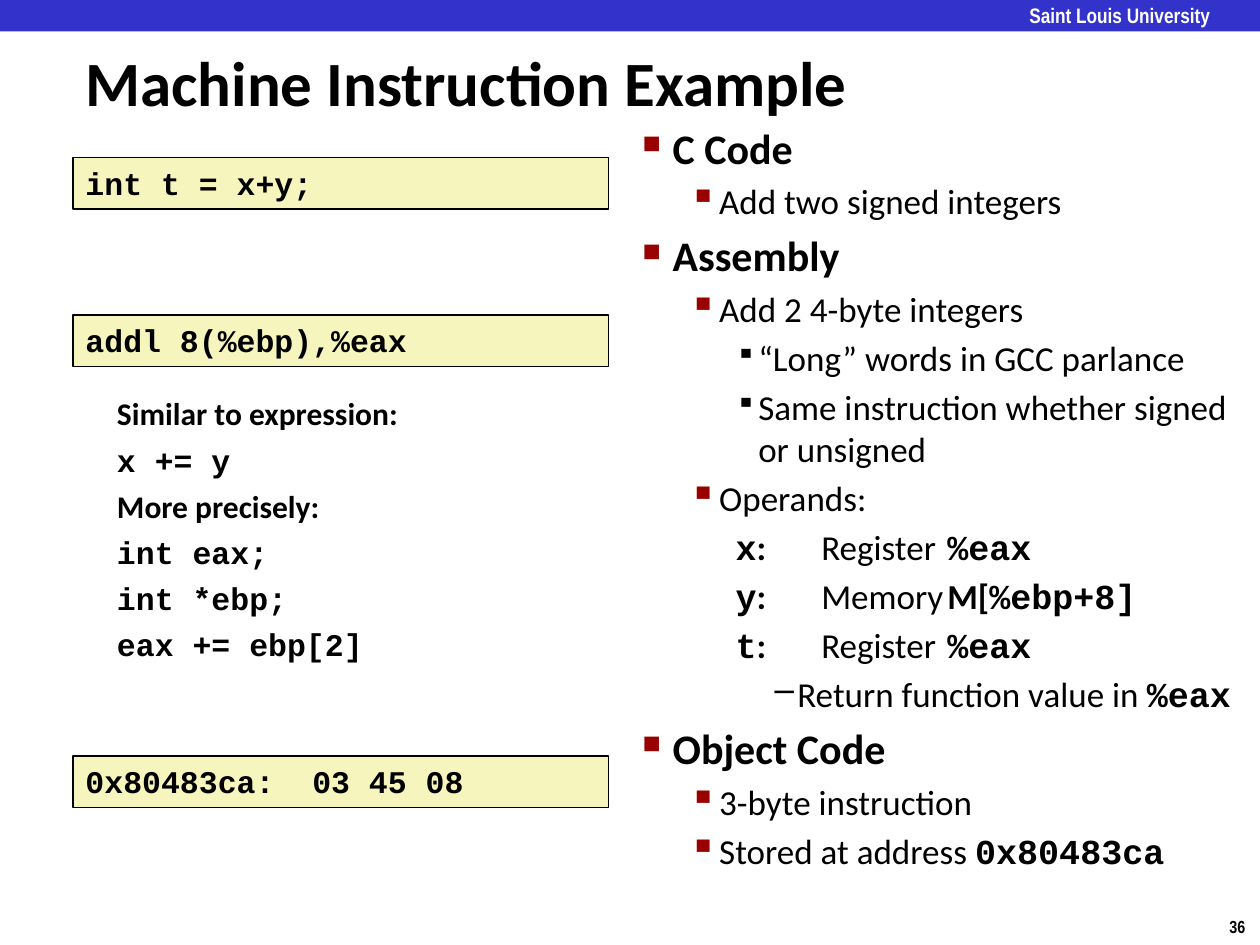
"""Build the Machine Instruction Example slide."""
from lxml import etree
from pptx import Presentation
from pptx.dml.color import RGBColor
from pptx.enum.shapes import MSO_SHAPE
from pptx.enum.text import MSO_ANCHOR
from pptx.oxml.ns import qn
from pptx.util import Inches, Pt

RECT = MSO_SHAPE.RECTANGLE
TOP, MIDDLE = MSO_ANCHOR.TOP, MSO_ANCHOR.MIDDLE
BLACK = RGBColor(0x00, 0x00, 0x00)
WHITE = RGBColor(0xFF, 0xFF, 0xFF)
BLUE = RGBColor(0x33, 0x33, 0xCC)
CREAM = RGBColor(0xF6, 0xF5, 0xBD)
RED = RGBColor(0x99, 0x00, 0x00)
SANS, MONO, NARROW = "Calibri", "Courier New", "Arial Narrow"

PLAIN, BOLD, CODE = (SANS, False), (SANS, True), (MONO, True)
LEVELS = [
    {"size": 24, "left": 0.24, "hang": 0.24, "bullet": ("■", 60, RED)},
    {"size": 20, "left": 0.61, "hang": 0.24, "bullet": ("▪", 110, RED)},
    {"size": 20, "left": 0.92, "hang": 0.18, "bullet": ("▪", 80, BLACK)},
    {"size": 20, "left": 1.23, "hang": 0.18, "bullet": ("–", 100, BLACK)},
]
OPERAND = {**LEVELS[2], "bullet": None}
TABS = [1.25, 2.75]

OUTLINE = [
    (LEVELS[0], [("C Code", BOLD)]),
    (LEVELS[1], [("Add two signed integers", PLAIN)]),
    (LEVELS[0], [("Assembly", BOLD)]),
    (LEVELS[1], [("Add 2 4-byte integers", PLAIN)]),
    (LEVELS[2], [("“Long” words in GCC parlance", PLAIN)]),
    (LEVELS[2], [("Same instruction whether signed or unsigned", PLAIN)]),
    (LEVELS[1], [("Operands:", PLAIN)]),
    (OPERAND, [("x", CODE), (":", BOLD), ("\tRegister\t", PLAIN), ("%eax", CODE)]),
    (OPERAND, [("y", CODE), (":", BOLD), ("\tMemory\t", PLAIN), ("M[", BOLD),
               ("%ebp+8]", CODE)]),
    (OPERAND, [("t", CODE), (":", BOLD), ("\tRegister\t", PLAIN), ("%eax", CODE)]),
    (LEVELS[3], [("Return function value in ", PLAIN), ("%eax", CODE)]),
    (LEVELS[0], [("Object Code", BOLD)]),
    (LEVELS[1], [("3-byte instruction", PLAIN)]),
    (LEVELS[1], [("Stored at address ", PLAIN), ("0x80483ca", CODE)]),
]
CODE_BOXES = [
    (1.25, "int t = x+y;"),
    (2.5, "addl 8(%ebp),%eax"),
    (6, "0x80483ca:  03 45 08"),
]
EXPRESSION = [
    ("Similar to expression:", BOLD),
    ("x += y", CODE),
    ("More precisely:", BOLD),
    ("int eax;", CODE),
    ("int *ebp;", CODE),
    ("eax += ebp[2]", CODE),
]


def add_run(p, text, style, size, color=BLACK):
    r = p.add_run()
    r.text = text
    r.font.name, r.font.bold = style
    r.font.size = Pt(size)
    r.font.color.rgb = color


def add_text(slide, box, anchor=TOP, inset=(0.1, 0.05), wrap=True):
    tf = slide.shapes.add_textbox(*map(Inches, box)).text_frame
    tf.word_wrap = wrap
    tf.vertical_anchor = anchor
    tf.margin_left = tf.margin_right = Inches(inset[0])
    tf.margin_top = tf.margin_bottom = Inches(inset[1])
    return tf


def add_rect(slide, box, fill, line=None):
    sp = slide.shapes.add_shape(RECT, *map(Inches, box))
    sp.shadow.inherit = False
    sp.fill.solid()
    sp.fill.fore_color.rgb = fill
    if line is None:
        sp.line.fill.background()
    else:
        sp.line.color.rgb = line
        sp.line.width = Pt(1)
    return sp


def next_paragraph(tf, first, before):
    if first:
        return tf.paragraphs[0]
    p = tf.add_paragraph()
    spacing = etree.SubElement(p._p.get_or_add_pPr(), qn("a:spcBef"))
    etree.SubElement(spacing, qn("a:spcPct"), val=str(before * 1000))
    return p


def set_outline_format(p, level):
    pPr = p._p.get_or_add_pPr()
    pPr.set("marL", str(Inches(level["left"])))
    pPr.set("indent", str(-Inches(level["hang"])))
    if level["bullet"]:
        char, percent, color = level["bullet"]
        clr = etree.SubElement(pPr, qn("a:buClr"))
        etree.SubElement(clr, qn("a:srgbClr"), val=str(color))
        etree.SubElement(pPr, qn("a:buSzPct"), val=str(percent * 1000))
        etree.SubElement(pPr, qn("a:buChar"), char=char)
    else:
        etree.SubElement(pPr, qn("a:buNone"))
    tabs = etree.SubElement(pPr, qn("a:tabLst"))
    for pos in TABS:
        etree.SubElement(tabs, qn("a:tab"), pos=str(Inches(pos)), algn="l")


def main():
    prs = Presentation()
    prs.slide_width, prs.slide_height = Inches(10), Inches(7.5)
    slide = prs.slides.add_slide(prs.slide_layouts[6])

    add_rect(slide, (0, 0, 10, 0.25), BLUE)
    tf = add_text(slide, (8.17, 0.02, 1.67, 0.19), inset=(0, 0))
    add_run(tf.paragraphs[0], "Saint Louis University", (NARROW, True), 12, WHITE)
    tf = add_text(slide, (9.66, 7.22, 0.34, 0.27), wrap=False)
    add_run(tf.paragraphs[0], "36", (NARROW, True), 10)
    tf = add_text(slide, (0.58, 0.33, 7.94, 0.63), MIDDLE)
    add_run(tf.paragraphs[0], "Machine Instruction Example", BOLD, 36)

    tf = add_text(slide, (5, 0.92, 5, 6.33))
    for i, (level, runs) in enumerate(OUTLINE):
        p = next_paragraph(tf, i == 0, 20)
        set_outline_format(p, level)
        for text, style in runs:
            add_run(p, text, style, level["size"])

    for top, code in CODE_BOXES:
        sp = add_rect(slide, (0.58, top, 4.25, 0.41), CREAM, BLACK)
        tf = sp.text_frame
        tf.word_wrap = True
        tf.vertical_anchor = TOP
        p = tf.paragraphs[0]
        p.alignment = 1
        add_run(p, code, CODE, 18)

    tf = add_text(slide, (0.83, 3.08, 3.75, 2.37))
    for i, (text, style) in enumerate(EXPRESSION):
        p = next_paragraph(tf, i == 0, 50)
        if i:
            p.line_spacing = 0.8
        add_run(p, text, style, 18)

    prs.save("out.pptx")


if __name__ == "__main__":
    main()
